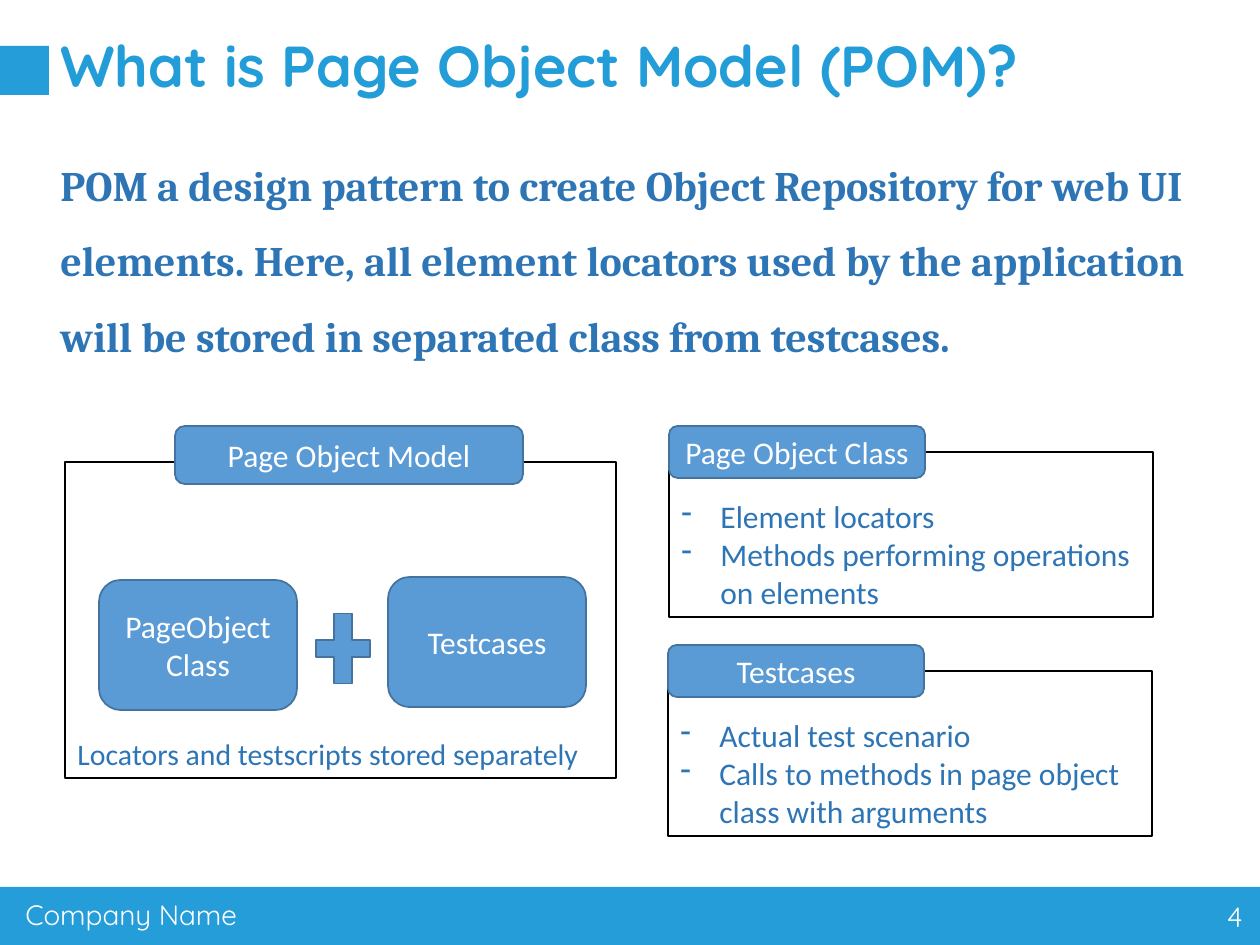
import pptx
import pptx.dml.color
import pptx.enum.shapes
import pptx.enum.text
import pptx.util
from lxml import etree

EMU_PER_PX = 914400 / 126
COLORS = {
    "brand": "249DD8",
    "title": "229DD8",
    "text": "2E75B6",
    "block": "5B9BD5",
    "block_line": "43739E",
    "black": "000000",
    "white": "FFFFFF",
}
SHAPES = pptx.enum.shapes.MSO_SHAPE
ALIGN = pptx.enum.text.PP_ALIGN
ANCHOR = pptx.enum.text.MSO_ANCHOR


def px(length):
    return pptx.util.Emu(round(length * EMU_PER_PX))


def color(name):
    return pptx.dml.color.RGBColor.from_string(COLORS[name])


def add_dash(paragraph, indent=39):
    """Give the paragraph a hanging dash bullet."""
    properties = paragraph._p.get_or_add_pPr()
    properties.set("marL", str(px(indent)))
    properties.set("indent", str(-px(indent)))
    bullet = etree.SubElement(properties, pptx.oxml.ns.qn("a:buChar"))
    bullet.set("char", "-")


def write_text(shape, *lines, size=18, font="Calibri", fill="white", bold=False,
               align=ALIGN.LEFT, anchor=ANCHOR.TOP, line_spacing=None,
               space_before=None, dashes=False):
    frame = shape.text_frame
    frame.word_wrap = True
    frame.vertical_anchor = anchor
    for index, line in enumerate(lines):
        paragraph = frame.add_paragraph() if index else frame.paragraphs[0]
        paragraph.alignment = align
        if line_spacing:
            paragraph.line_spacing = line_spacing
        if space_before:
            paragraph.space_before = pptx.util.Pt(space_before)
        if dashes:
            add_dash(paragraph)
        run = paragraph.add_run()
        run.text = line
        run.font.name = font
        run.font.size = pptx.util.Pt(size)
        run.font.bold = bold
        run.font.color.rgb = color(fill)


def add_text(slide, left, top, width, height, text, **text_format):
    box = slide.shapes.add_textbox(px(left), px(top), px(width), px(height))
    write_text(box, text, **text_format)


def add_shape(slide, kind, left, top, width, height, fill=None, line=None, weight=1):
    shape = slide.shapes.add_shape(kind, px(left), px(top), px(width), px(height))
    shape.shadow.inherit = False
    if fill:
        shape.fill.solid()
        shape.fill.fore_color.rgb = color(fill)
    else:
        shape.fill.background()
    if line:
        shape.line.color.rgb = color(line)
        shape.line.width = pptx.util.Pt(weight)
    else:
        shape.line.fill.background()
    return shape


def add_block(slide, left, top, width, height, label):
    block = add_shape(slide, SHAPES.ROUNDED_RECTANGLE, left, top, width, height,
                      "block", "block_line")
    write_text(block, label, align=ALIGN.CENTER, anchor=ANCHOR.MIDDLE)


def add_frame(slide, left, top, width, height, *lines, **text_format):
    """Draw an outlined box with its text resting on the bottom edge."""
    frame = add_shape(slide, SHAPES.RECTANGLE, left, top, width, height,
                      line="black", weight=0.75)
    write_text(frame, *lines, fill="text", anchor=ANCHOR.BOTTOM, **text_format)


def add_card(slide, left, top, heading, *items):
    add_frame(slide, left, top + 26, 484, 165, *items, dashes=True)
    add_block(slide, left, top, 256, 52, heading)


def add_model_diagram(slide):
    add_block(slide, 99, 580, 198, 130, "PageObject Class")
    add_block(slide, 388, 577, 198, 130, "Testcases")
    add_shape(slide, SHAPES.MATH_PLUS, 306, 601, 74, 95, "block", "block_line")
    add_frame(slide, 65, 462, 551, 316,
              "Locators and testscripts stored separately", size=17)
    add_block(slide, 175, 426, 348, 58, "Page Object Model")


def add_header(slide):
    add_shape(slide, SHAPES.RECTANGLE, 0, 46, 49, 49, "brand")
    add_text(slide, 48, 39, 1211, 60, "What is Page Object Model (POM)?", size=33,
             font="Quicksand", fill="title", bold=True, line_spacing=0.9,
             anchor=ANCHOR.MIDDLE)


def add_footer(slide):
    add_shape(slide, SHAPES.RECTANGLE, -1, 887, 1266, 60, "brand")
    add_text(slide, 13, 891, 397, 47, "Company Name", size=16, font="Quicksand")
    add_text(slide, 971, 893, 284, 50, "4", size=16, font="Quicksand",
             align=ALIGN.RIGHT)


def main():
    presentation = pptx.Presentation()
    presentation.slide_width = px(1260)
    presentation.slide_height = px(945)
    slide = presentation.slides.add_slide(presentation.slide_layouts[6])

    add_footer(slide)
    add_header(slide)
    add_text(slide, 48, 128, 1211, 679,
             "POM a design pattern to create Object Repository for web UI elements. "
             "Here, all element locators used by the application will be stored in "
             "separated class from testcases.",
             size=24, font="Cambria", fill="text", bold=True,
             line_spacing=1.5, space_before=10)
    add_card(slide, 669, 426, "Page Object Class",
             "Element locators", "Methods performing operations on elements")
    add_card(slide, 668, 645, "Testcases",
             "Actual test scenario", "Calls to methods in page object class with arguments")
    add_model_diagram(slide)
    presentation.save("out.pptx")


if __name__ == "__main__":
    main()
